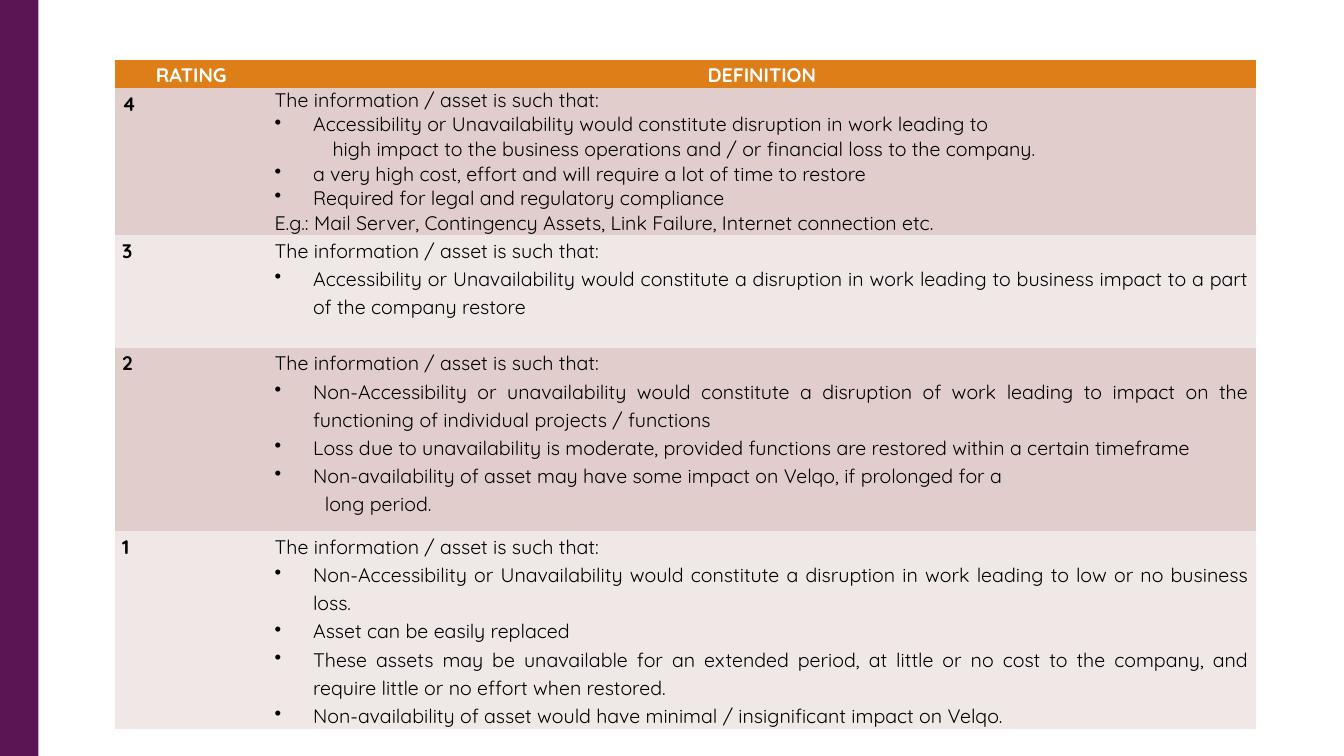
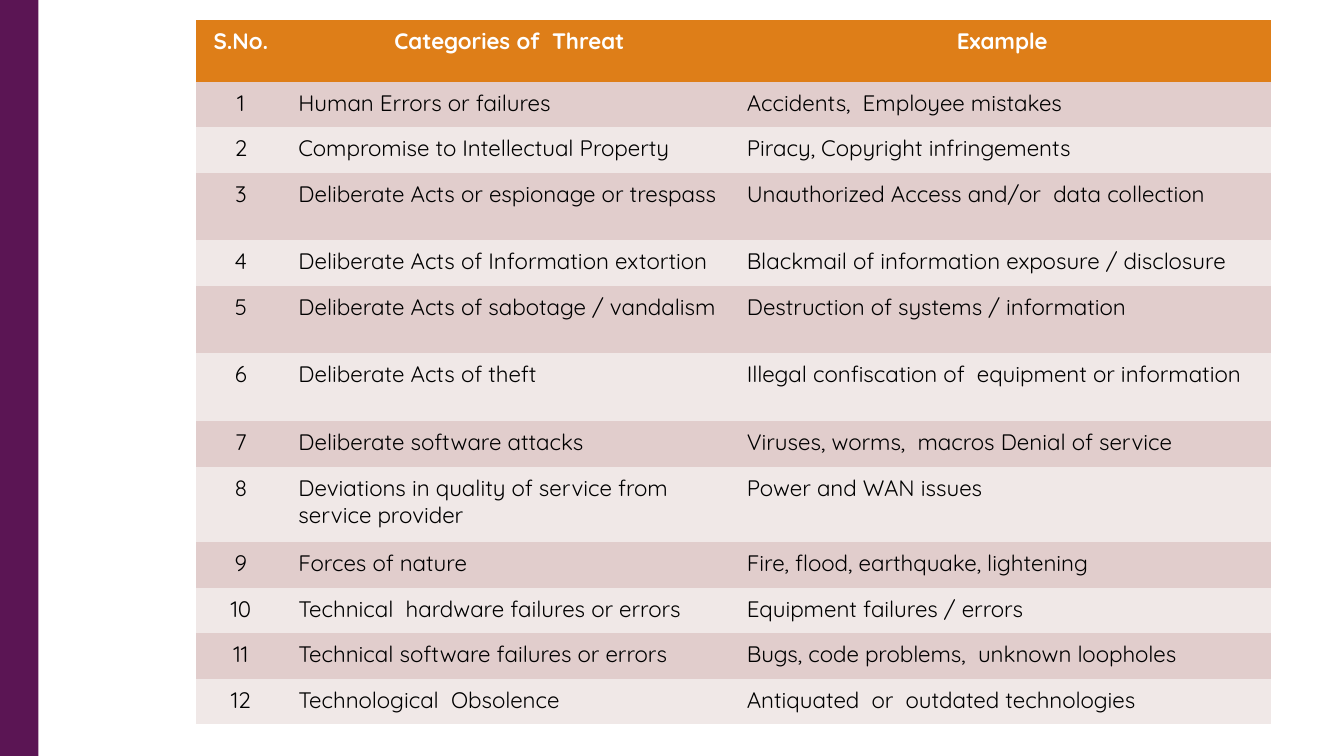
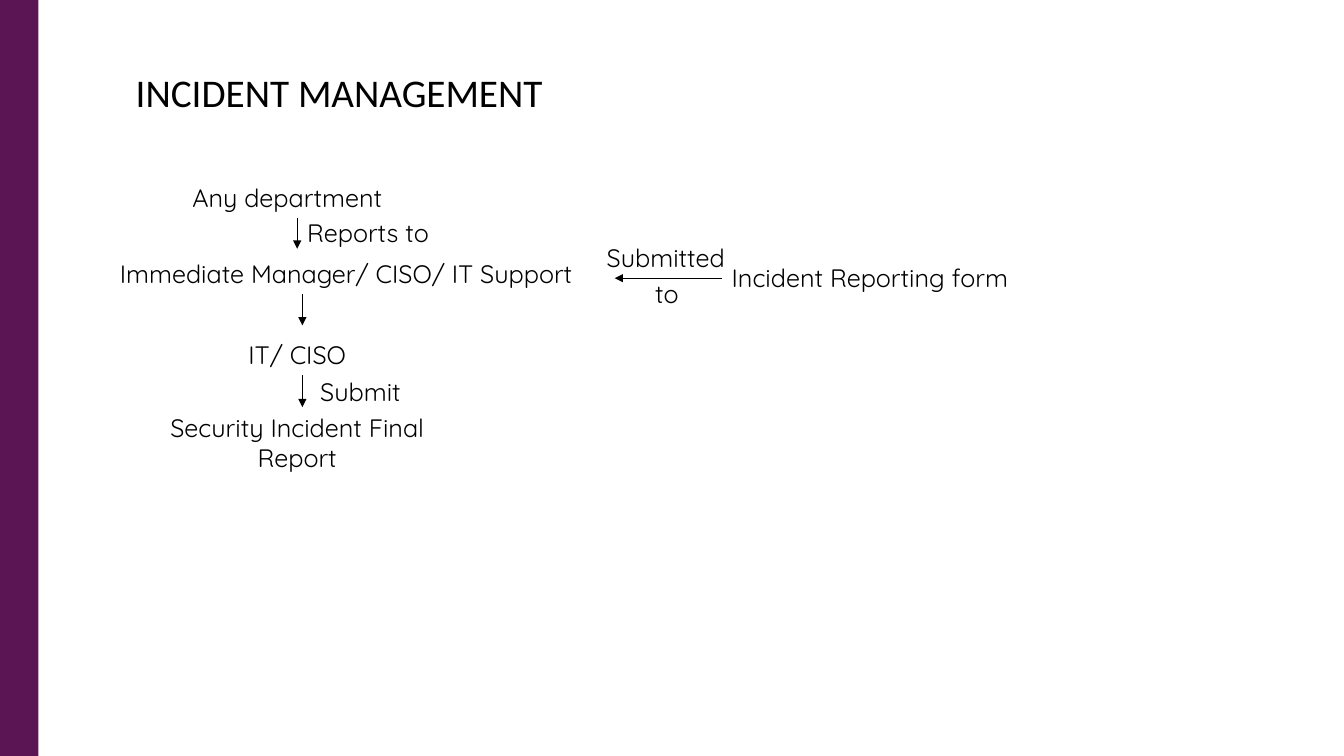
import lxml.etree
import pptx
import pptx.dml.color
import pptx.enum.shapes
import pptx.enum.text
import pptx.oxml.ns
import pptx.util

Cm = pptx.util.Cm
Pt = pptx.util.Pt
RGBColor = pptx.dml.color.RGBColor
qn = pptx.oxml.ns.qn
ALIGN = pptx.enum.text.PP_ALIGN
ANCHOR = pptx.enum.text.MSO_ANCHOR

# Shared look
PURPLE = RGBColor(0x5B, 0x15, 0x54)
ORANGE = RGBColor(0xDE, 0x7E, 0x18)
ROSE = RGBColor(0xE1, 0xCD, 0xCC)
PALE_ROSE = RGBColor(0xF0, 0xE8, 0xE7)
BLACK = RGBColor(0, 0, 0)
WHITE = RGBColor(0xFF, 0xFF, 0xFF)

SLIDE_WIDTH, SLIDE_HEIGHT = Cm(33.87), Cm(19.05)
BLANK_LAYOUT, TITLE_LAYOUT = 6, 5
PLAIN_TABLE_STYLE = "{2D5ABB26-0587-4C30-8999-92F81FD0307C}"

TITLE_FONT = {"name": "Calibri", "size": Pt(28), "bold": False}
FLOW_FONT = {"name": "Quicksand", "size": Pt(18)}
RATING_FONT = {"name": "Quicksand", "size": Pt(14)}
THREAT_FONT = {"name": "Quicksand", "size": Pt(16)}

# Rating table: row height, line spacing, anchor, rating, (kind, text) lines
BULLET_INDENT = 0.97
INDENTS = {"plain": 0, "bullet": BULLET_INDENT, "deep": 1.46, "long": 1.27}
INTRO = ("plain", "The information / asset is such that:")
RATINGS = [
    (3.71, 1.0, ANCHOR.BOTTOM, "4", [
        ("bullet", "Accessibility or Unavailability would constitute disruption in work leading to"),
        ("deep", "high impact to the business operations and / or financial loss to the company."),
        ("bullet", "a very high cost, effort and will require a lot of time to restore"),
        ("bullet", "Required for legal and regulatory compliance"),
        ("plain", "E.g.: Mail Server, Contingency Assets, Link Failure, Internet connection etc."),
    ]),
    (2.84, 1.15, ANCHOR.TOP, "3", [
        ("bullet", "Accessibility or Unavailability would constitute a disruption in work "
                   "leading to business impact to a part of the company restore"),
    ]),
    (4.62, 1.15, ANCHOR.TOP, "2", [
        ("bullet", "Non-Accessibility or unavailability would constitute a disruption of work "
                   "leading to impact on the functioning of individual projects / functions"),
        ("bullet", "Loss due to unavailability is moderate, provided functions are restored "
                   "within a certain timeframe"),
        ("bullet", "Non-availability of asset may have some impact on Velqo, if prolonged for a"),
        ("long", "long period."),
    ]),
    (4.98, 1.15, ANCHOR.TOP, "1", [
        ("bullet", "Non-Accessibility or Unavailability would constitute a disruption in work "
                   "leading to low or no business loss."),
        ("bullet", "Asset can be easily replaced"),
        ("bullet", "These assets may be unavailable for an extended period, at little or no cost "
                   "to the company, and require little or no effort when restored."),
        ("bullet", "Non-availability of asset would have minimal / insignificant impact on Velqo."),
    ]),
]

# Threat table: row height, category, example
THREATS = [
    (1.15, "Human Errors or failures", "Accidents,  Employee mistakes"),
    (1.15, "Compromise to Intellectual Property", "Piracy, Copyright infringements"),
    (1.7, "Deliberate Acts or espionage or trespass", "Unauthorized Access and/or  data collection"),
    (1.15, "Deliberate Acts of Information extortion", "Blackmail of information exposure / disclosure"),
    (1.7, "Deliberate Acts of sabotage / vandalism", "Destruction of systems / information"),
    (1.7, "Deliberate Acts of theft", "Illegal confiscation of  equipment or information"),
    (1.15, "Deliberate software attacks", "Viruses, worms,  macros Denial of service"),
    (1.9, "Deviations in quality of service from service provider", "Power and WAN issues"),
    (1.15, "Forces of nature", "Fire, flood, earthquake, lightening"),
    (1.15, "Technical  hardware failures or errors", "Equipment failures / errors"),
    (1.15, "Technical software failures or errors", "Bugs, code problems,  unknown loopholes"),
    (1.15, "Technological  Obsolence", "Antiquated  or  outdated technologies"),
]

# Incident flow: left, top, width, height, alignment, text
FLOW_LABELS = [
    (4.6, 4.47, 8.38, 1.02, ALIGN.LEFT, "Any department"),
    (7.49, 5.36, 4.32, 1.02, ALIGN.LEFT, "Reports to"),
    (2.77, 6.38, 13.03, 1.02, ALIGN.LEFT, "Immediate Manager/ CISO/ IT Support"),
    (18.19, 6.48, 8.38, 1.02, ALIGN.LEFT, "Incident Reporting form"),
    (15.04, 5.97, 3.89, 1.02, ALIGN.LEFT, "Submitted"),
    (16.26, 6.88, 1.55, 1.02, ALIGN.LEFT, "to"),
    (3.3, 8.43, 8.38, 1.02, ALIGN.CENTER, "IT/ CISO"),
    (7.82, 9.35, 2.92, 1.02, ALIGN.LEFT, "Submit"),
    (3.3, 10.26, 8.38, 1.8, ALIGN.CENTER, "Security Incident Final Report"),
]
FLOW_ARROWS = [
    (7.49, 5.49, 7.49, 6.27),
    (7.62, 7.42, 7.62, 8.2),
    (7.62, 9.45, 7.62, 10.26),
    (18.19, 7.01, 15.49, 7.01),
]


def set_values(target, values):
    for name, value in values.items():
        setattr(target, name, value)


def write_para(para, text, font, colour=BLACK, **layout):
    set_values(para, layout)
    span = para.add_run()
    span.text = text
    set_values(span.font, font)
    span.font.color.rgb = colour


def add_bullet(para):
    properties = para._p.get_or_add_pPr()
    properties.set("indent", str(-Cm(BULLET_INDENT)))
    lxml.etree.SubElement(properties, qn("a:buChar")).set("char", "•")


def add_page(deck, layout):
    """Add a slide with the purple band at its left edge."""
    page = deck.slides.add_slide(deck.slide_layouts[layout])
    band = page.shapes.add_shape(
        pptx.enum.shapes.MSO_SHAPE.RECTANGLE, 0, 0, Cm(0.97), SLIDE_HEIGHT)
    band.shadow.inherit = False
    band.fill.solid()
    band.fill.fore_color.rgb = PURPLE
    band.line.fill.background()
    return page


def add_grid(page, left, top, widths, heights, margins):
    """Add a table with an orange header and alternating rose rows."""
    grid = page.shapes.add_table(
        len(heights), len(widths), Cm(left), Cm(top),
        Cm(sum(widths)), Cm(sum(heights))).table
    grid._tbl.tblPr.find(qn("a:tableStyleId")).text = PLAIN_TABLE_STYLE
    for column, width in zip(grid.columns, widths):
        column.width = Cm(width)
    side, edge = (Cm(margin) for margin in margins)
    for index, (row, height) in enumerate(zip(grid.rows, heights)):
        row.height = Cm(height)
        for cell in row.cells:
            set_values(cell, {"margin_left": side, "margin_right": side,
                              "margin_top": edge, "margin_bottom": edge})
            cell.fill.solid()
            cell.fill.fore_color.rgb = (
                ORANGE if index == 0 else ROSE if index % 2 else PALE_ROSE)
    return grid


def write_header(grid, titles, font, **layout):
    for cell, title in zip(grid.rows[0].cells, titles):
        write_para(cell.text_frame.paragraphs[0], title, {**font, "bold": True},
                   WHITE, alignment=ALIGN.CENTER, **layout)


def write_definition(cell, lines, spacing):
    frame = cell.text_frame
    for index, (kind, text) in enumerate([INTRO] + lines):
        para = frame.add_paragraph() if index else frame.paragraphs[0]
        write_para(para, text, {**RATING_FONT, "bold": False},
                   alignment=ALIGN.JUSTIFY, line_spacing=spacing)
        para._p.get_or_add_pPr().set("marL", str(Cm(INDENTS[kind])))
        if kind == "bullet":
            add_bullet(para)


def add_label(page, left, top, width, height, alignment, text):
    box = page.shapes.add_textbox(Cm(left), Cm(top), Cm(width), Cm(height))
    box.text_frame.word_wrap = True
    write_para(box.text_frame.paragraphs[0], text, FLOW_FONT, alignment=alignment)


def add_arrow(page, *ends):
    arrow = page.shapes.add_connector(
        pptx.enum.shapes.MSO_CONNECTOR.STRAIGHT, *(Cm(end) for end in ends))
    arrow.line.width = Pt(0.75)
    arrow.line.color.rgb = BLACK
    outline = arrow.line._get_or_add_ln()
    lxml.etree.SubElement(outline, qn("a:tailEnd")).set("type", "triangle")
    lxml.etree.SubElement(arrow._element.spPr, qn("a:effectLst"))


def add_title(page, text):
    title = page.shapes.title
    set_values(title, {"left": Cm(1.47), "top": Cm(1.5),
                       "width": Cm(14.15), "height": Cm(1.63)})
    set_values(title.text_frame, {
        "word_wrap": True, "vertical_anchor": ANCHOR.MIDDLE,
        "auto_size": pptx.enum.text.MSO_AUTO_SIZE.NONE})
    write_para(title.text_frame.paragraphs[0], text, TITLE_FONT, alignment=ALIGN.CENTER)


def build_ratings(deck):
    page = add_page(deck, BLANK_LAYOUT)
    heights = [0.71] + [rating[0] for rating in RATINGS]
    grid = add_grid(page, 2.9, 1.5, [3.84, 24.92], heights, (0.18, 0))
    write_header(grid, ["RATING", "DEFINITION"], RATING_FONT, line_spacing=1.15)
    for index, (_, spacing, anchor, rating, lines) in enumerate(RATINGS, 1):
        rating_cell, definition_cell = grid.rows[index].cells
        write_para(rating_cell.text_frame.paragraphs[0], rating,
                   {**RATING_FONT, "bold": True},
                   alignment=ALIGN.JUSTIFY, line_spacing=1.15)
        definition_cell.vertical_anchor = anchor
        write_definition(definition_cell, lines, spacing)


def build_threats(deck):
    page = add_page(deck, BLANK_LAYOUT)
    heights = [1.55] + [threat[0] for threat in THREATS]
    grid = add_grid(page, 4.95, 0.51, [2.24, 11.3, 13.54], heights, (0.33, 0.18))
    write_header(grid, ["S.No.", "Categories of  Threat", "Example"], THREAT_FONT)
    alignments = [ALIGN.CENTER, ALIGN.LEFT, ALIGN.LEFT]
    for number, (_, category, example) in enumerate(THREATS, 1):
        texts = [str(number), category, example]
        for cell, text, alignment in zip(grid.rows[number].cells, texts, alignments):
            write_para(cell.text_frame.paragraphs[0], text,
                       {**THREAT_FONT, "bold": False}, alignment=alignment)


def build_incident_flow(deck):
    page = add_page(deck, TITLE_LAYOUT)
    add_title(page, "INCIDENT MANAGEMENT")
    for label in FLOW_LABELS:
        add_label(page, *label)
    for arrow in FLOW_ARROWS:
        add_arrow(page, *arrow)


def main():
    deck = pptx.Presentation()
    set_values(deck, {"slide_width": SLIDE_WIDTH, "slide_height": SLIDE_HEIGHT})
    build_ratings(deck)
    build_threats(deck)
    build_incident_flow(deck)
    deck.save("out.pptx")


if __name__ == "__main__":
    main()
